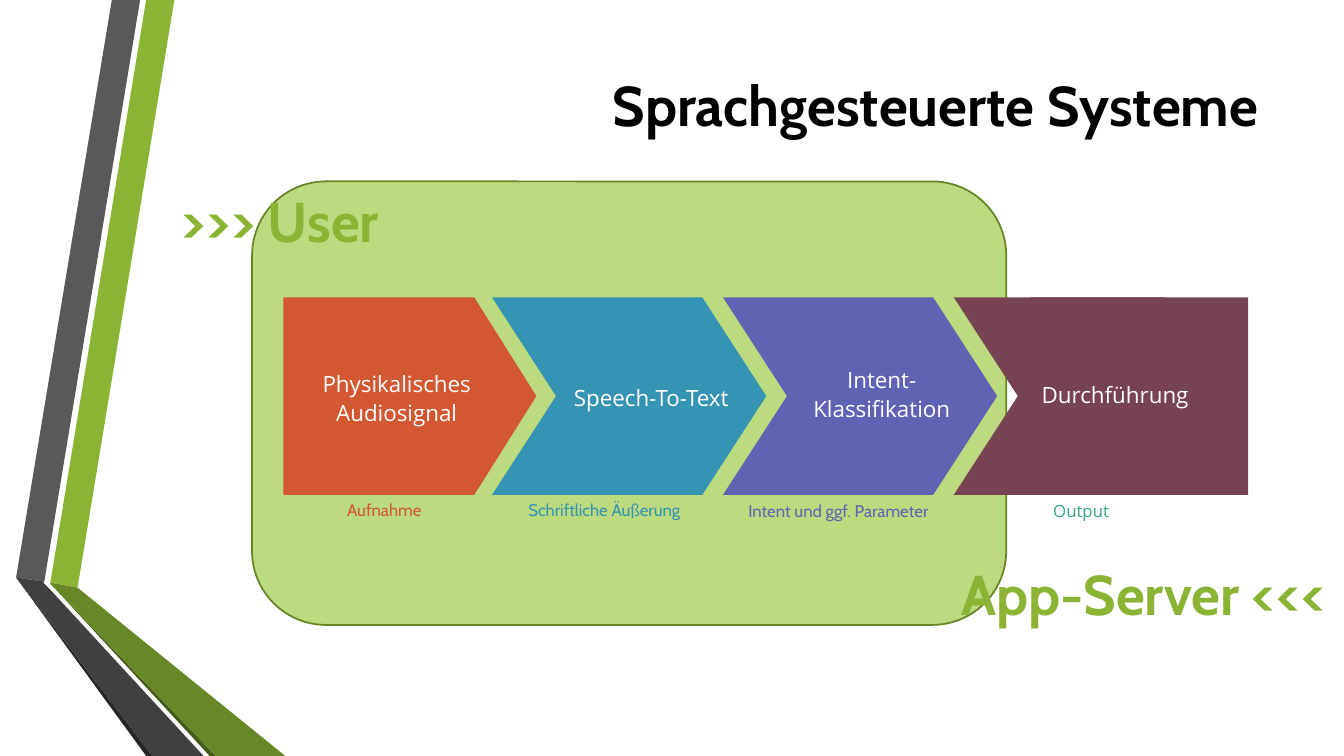
from pptx import Presentation
from pptx import util as u
from pptx.dml.color import RGBColor
from pptx.enum import shapes, text

# All lengths are cells of a grid with 133.3 columns and 75 rows
COLUMNS, ROWS = 133.3, 75
CELL = u.Inches(7.5) / ROWS
SHAPE, ALIGN = shapes.MSO_SHAPE, text.PP_ALIGN

GREEN, DARK_GREEN, LIGHT_GREEN = "8BB434", "678526", "BCDA7E"
ORANGE, BLUE, VIOLET, PLUM, TEAL = "D35731", "3594B4", "6063B4", "774251", "33A583"
WHITE, BLACK = "FFFFFF", "000000"

# Fill and outline points of each ribbon face
RIBBON = [
    (GREEN, [(5, 57.8), (7.7, 58.3), (17.3, 0), (14.5, 0)]),
    ("595959", [(13.9, 0), (11.1, 0), (1.6, 57.3), (4.4, 57.7)]),
    ("262626", [(1.6, 57.3), (14.5, 75), (15.1, 75)]),
    ("465A1A", [(5, 57.9), (20.8, 75), (21.4, 75)]),
    ("688727", [(5, 57.9), (21.4, 75), (28.3, 75), (7.7, 58.3), (5, 57.8)]),
    ("404040", [(20.2, 75), (4.8, 58.3), (4.3, 57.8), (4.4, 57.7),
                (1.6, 57.3), (15.1, 75)]),
]

# Step text with its box, then caption with its box, font and colour
STEPS = [
    ("Physikalisches\nAudiosignal", (0, 6.9, 22.5, 5.9),
     "Aufnahme", (-5.2, 19.9, 18.9, 2.2), "Cabin", ORANGE),
    ("Speech-To-Text", (25.5, 8.3, 22, 3),
     "Schriftliche Äußerung", (19.7, 19.9, 19.7, 2.2), "Cabin", BLUE),
    ("Intent-\nKlassifikation", (49.1, 6.5, 20.5, 5.9),
     "Intent und ggf. Parameter", (41.3, 20, 22.7, 2.2), "Cabin", VIOLET),
    ("Durchführung", (73.6, 8, 17.8, 3),
     "Output", (61.7, 20, 20.2, 2.2), "Open Sans", TEAL),
]


def cells(count):
    return u.Emu(round(count * CELL))


def color(value):
    return RGBColor.from_string(value)


def inside(box, part):
    return (box[0] + part[0], box[1] + part[1], *part[2:])


def paint(shape, fill, line=None):
    shape.shadow.inherit = False
    shape.fill.solid()
    shape.fill.fore_color.rgb = color(fill)
    if line:
        shape.line.color.rgb = color(line)
        shape.line.width = u.Pt(1.25)
    else:
        shape.line.fill.background()


def add_block(slide, kind, box, fill, line=None, adjustment=None):
    block = slide.shapes.add_shape(kind, *map(cells, box))
    paint(block, fill, line)
    if adjustment is not None:
        block.adjustments[0] = adjustment
    return block


def write(frame, words, align, spacing, font_color, **font):
    frame.text = words
    for paragraph in frame.paragraphs:
        paragraph.alignment = align
        paragraph.line_spacing = spacing
        for name, value in font.items():
            setattr(paragraph.font, name, value)
        paragraph.font.color.rgb = color(font_color)


def add_label(slide, box, words, align, font_color, **font):
    frame = slide.shapes.add_textbox(*map(cells, box)).text_frame
    settings = dict(word_wrap=True, vertical_anchor=text.MSO_ANCHOR.MIDDLE,
                    auto_size=text.MSO_AUTO_SIZE.SHAPE_TO_FIT_TEXT,
                    margin_left=0, margin_right=0, margin_top=0, margin_bottom=0)
    for name, value in settings.items():
        setattr(frame, name, value)
    write(frame, words, align, 1.1, font_color, **font)


def add_title(slide, box):
    title = slide.shapes.title
    for name, value in zip(("left", "top", "width", "height"), box):
        setattr(title, name, cells(value))
    title.text_frame.vertical_anchor = text.MSO_ANCHOR.MIDDLE
    write(title.text_frame, "Sprachgesteuerte Systeme", ALIGN.RIGHT, 1, BLACK,
          name="Cabin", size=u.Pt(40), bold=True)


def add_ribbon(slide, box):
    for fill, outline in RIBBON:
        points = [(cells(box[0] + x), cells(box[1] + y)) for x, y in outline]
        builder = slide.shapes.build_freeform(*points[0])
        builder.add_line_segments(points[1:], close=True)
        paint(builder.convert_to_shape(), fill)


def add_zone(slide, box):
    add_block(slide, SHAPE.ROUNDED_RECTANGLE, box, LIGHT_GREEN, DARK_GREEN)
    heading = dict(font_color=GREEN, name="Cabin", size=u.Pt(40), bold=True)
    add_label(slide, inside(box, (-7.1, 0, 40.9, 7)), ">>> User",
              ALIGN.LEFT, **heading)
    add_label(slide, inside(box, (54.3, 37, 52.3, 7)), "App-Server <<<",
              ALIGN.RIGHT, **heading)


def add_process(slide, box):
    height = box[3]
    # Square end behind the last chevron
    end = add_block(slide, SHAPE.PENTAGON, inside(box, (74.1, 0, 21.6, height)),
                    PLUM, adjustment=0)
    end.rotation = 180
    # Arrow chain
    add_block(slide, SHAPE.PENTAGON, inside(box, (0, 0, 25.1, height)),
              ORANGE, adjustment=0.314)
    for index, fill in enumerate((BLUE, VIOLET, PLUM)):
        place = (20.7 + 22.9 * index, 0, 27.2, height)
        add_block(slide, SHAPE.CHEVRON, inside(box, place), fill, adjustment=0.324)
    # Step names and captions
    for words, place, caption, caption_place, font, tint in STEPS:
        add_label(slide, inside(box, place), words, ALIGN.CENTER, WHITE,
                  name="Open Sans", size=u.Pt(16))
        add_label(slide, inside(box, caption_place), caption, ALIGN.RIGHT, tint,
                  name=font, size=u.Pt(12))


def main():
    presentation = Presentation()
    presentation.slide_width = cells(COLUMNS)
    presentation.slide_height = cells(ROWS)
    slide = presentation.slides.add_slide(presentation.slide_layouts[5])
    add_ribbon(slide, (0, 0, 28.3, ROWS))
    add_zone(slide, (25, 18, 74.8, 44))
    add_process(slide, (28.1, 29.5, 95.7, 19.6))
    add_title(slide, (16.2, 0.7, 109.6, 19.2))
    presentation.save("out.pptx")


if __name__ == "__main__":
    main()
